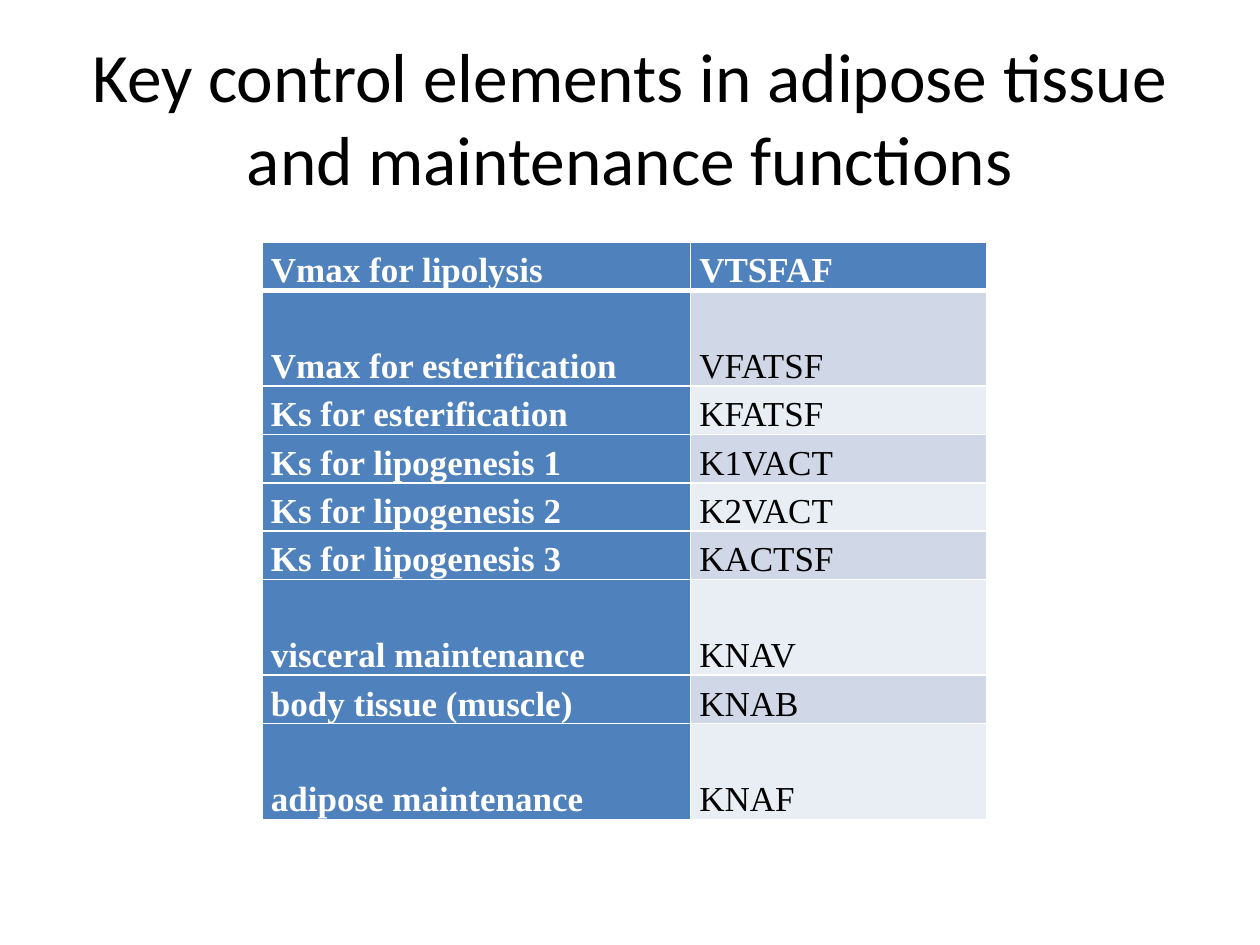
from dataclasses import dataclass

from lxml import etree
from pptx import Presentation
from pptx.dml.color import RGBColor
from pptx.enum.text import MSO_ANCHOR, PP_ALIGN
from pptx.oxml.ns import qn
from pptx.util import Inches, Pt

MIDDLE, BOTTOM = MSO_ANCHOR.MIDDLE, MSO_ANCHOR.BOTTOM
CENTER = PP_ALIGN.CENTER


@dataclass(frozen=True)
class Theme:
    title_font: str = "Calibri"
    table_font: str = "Times New Roman"
    title_size: float = 39.6
    table_size: float = 20
    black: str = "000000"
    white: str = "FFFFFF"
    accent: str = "4F81BD"
    bands: tuple = ("D0D8E8", "E9EDF4")
    thin: float = 1
    thick: float = 3


THEME = Theme()

TITLE = "Key control elements in adipose tissue\vand maintenance functions"
SINGLE, DOUBLE = 0.38, 0.76
COLUMN_WIDTHS = (3.4, 2.35)
# Element, parameter, row height
ELEMENTS = [
    ("Vmax for lipolysis", "VTSFAF", SINGLE),
    ("Vmax for esterification", "VFATSF", DOUBLE),
    ("Ks for esterification", "KFATSF", SINGLE),
    ("Ks for lipogenesis 1", "K1VACT", SINGLE),
    ("Ks for lipogenesis 2", "K2VACT", SINGLE),
    ("Ks for lipogenesis 3", "KACTSF", SINGLE),
    ("visceral maintenance", "KNAV", DOUBLE),
    ("body tissue (muscle)", "KNAB", SINGLE),
    ("adipose maintenance", "KNAF", DOUBLE),
]


def style_font(font, name, size, color, bold=False):
    font.name, font.size, font.bold = name, Pt(size), bold
    font.color.rgb = RGBColor.from_string(color)


def set_borders(cell, top, bottom):
    """Draw the four cell borders; widths are in points."""
    properties = cell._tc.get_or_add_tcPr()
    widths = {"a:lnL": THEME.thin, "a:lnR": THEME.thin, "a:lnT": top, "a:lnB": bottom}
    for position, (tag, width) in enumerate(widths.items()):
        line = etree.Element(qn(tag), w=str(Pt(width)))
        fill = etree.SubElement(line, qn("a:solidFill"))
        etree.SubElement(fill, qn("a:srgbClr"), val=THEME.white)
        properties.insert(position, line)


def add_title(page, left, top, width, height):
    box = page.shapes.add_textbox(left, top, width, height)
    frame = box.text_frame
    frame.word_wrap = True
    frame.vertical_anchor = MIDDLE
    para = frame.paragraphs[0]
    para.text = TITLE
    para.alignment = CENTER
    style_font(para.font, THEME.title_font, THEME.title_size, THEME.black)


def fill_cell(cell, text, row, column):
    cell.text = text
    cell.vertical_anchor = BOTTOM
    cell.margin_left = cell.margin_right = Inches(0.07)
    cell.margin_top = cell.margin_bottom = 0

    # The header row and the first column share the accent style
    accented = row == 0 or column == 0
    para = cell.text_frame.paragraphs[0]
    para.line_spacing = 1.15
    style_font(para.font, THEME.table_font, THEME.table_size,
               THEME.white if accented else THEME.black, accented)
    cell.fill.solid()
    color = THEME.accent if accented else THEME.bands[(row - 1) % 2]
    cell.fill.fore_color.rgb = RGBColor.from_string(color)
    set_borders(cell, THEME.thick if row == 1 else THEME.thin,
                THEME.thick if row == 0 else THEME.thin)


def add_element_table(page, left, top, width, height):
    table = page.shapes.add_table(len(ELEMENTS), len(COLUMN_WIDTHS),
                                  left, top, width, height).table
    for column, column_width in zip(table.columns, COLUMN_WIDTHS):
        column.width = Inches(column_width)
    for row, (element, parameter, row_height) in enumerate(ELEMENTS):
        table.rows[row].height = Inches(row_height)
        for column, text in enumerate((element, parameter)):
            fill_cell(table.cell(row, column), text, row, column)


def main():
    deck = Presentation()
    deck.slide_width, deck.slide_height = Inches(10), Inches(7.5)
    page = deck.slides.add_slide(deck.slide_layouts[6])
    add_title(page, Inches(0.5), Inches(0.3), Inches(9), Inches(1.25))
    add_element_table(page, Inches(2.08), Inches(1.92), Inches(5.75), Inches(4.58))
    deck.save("out.pptx")


if __name__ == "__main__":
    main()
